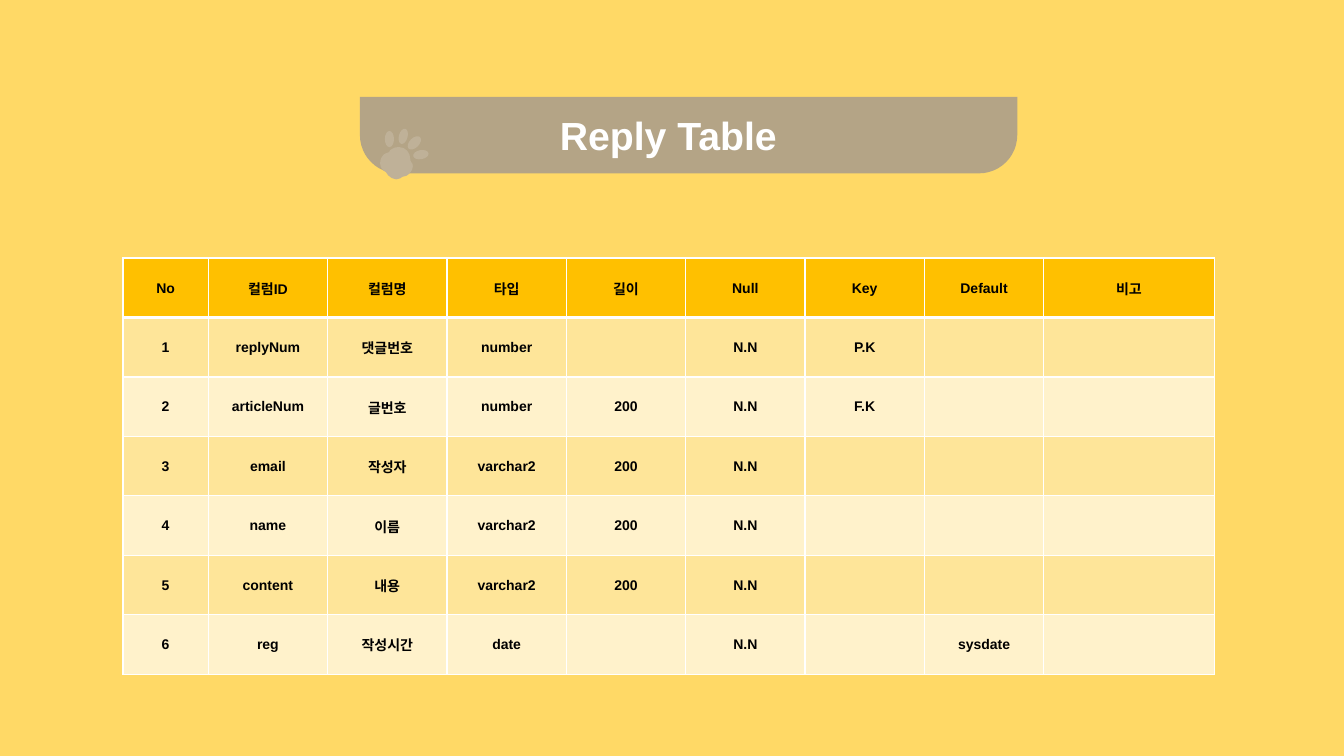
from dataclasses import dataclass
from math import cos, radians, sin

from lxml.etree import SubElement
from pptx import Presentation
from pptx.dml.color import RGBColor
from pptx.enum.shapes import MSO_SHAPE
from pptx.enum.text import MSO_ANCHOR, PP_ALIGN
from pptx.oxml.ns import qn
from pptx.util import Inches, Pt


@dataclass(frozen=True)
class Theme:
    font: str = "Arial"
    background: str = "FFD966"
    banner: str = "B4A486"
    paw: str = "BFB198"
    header: str = "FFC000"
    odd_row: str = "FEE599"
    even_row: str = "FFF2CB"
    light: str = "FFFFFF"
    dark: str = "000000"
    title_size: int = 28
    cell_size: int = 10
    thin_rule: int = 1
    thick_rule: int = 3


THEME = Theme()
WIDTH, HEIGHT = Inches(13.33), Inches(7.5)

# Column widths in grid units; the rows share the table height equally.
COLUMN_UNITS = [5] + [7] * 7 + [10]
ROWS = [
    ["No", "컬럼ID", "컬럼명", "타입", "길이", "Null", "Key", "Default", "비고"],
    ["1", "replyNum", "댓글번호", "number", "", "N.N", "P.K", "", ""],
    ["2", "articleNum", "글번호", "number", "200", "N.N", "F.K", "", ""],
    ["3", "email", "작성자", "varchar2", "200", "N.N", "", "", ""],
    ["4", "name", "이름", "varchar2", "200", "N.N", "", "", ""],
    ["5", "content", "내용", "varchar2", "200", "N.N", "", "", ""],
    ["6", "reg", "작성시간", "date", "", "N.N", "", "sysdate", ""],
]

# Paw geometry in thousandths of an inch from the paw's corner.
# Toes: centre x, centre y, radius x, radius y, tilt in degrees.
TOES = [(405, 265, 77, 45, -10), (340, 148, 80, 48, -45),
        (93, 110, 45, 80, 0), (230, 83, 43, 78, 15)]
# Pad: a start point, then cubic curves (three points) or lines (one point).
PAD = [
    [(190, 190)],
    [(250, 190), (300, 240), (300, 310)], [(300, 320)], [(310, 340)],
    [(320, 350), (325, 360), (325, 380)], [(325, 420), (290, 460), (260, 475)],
    [(220, 485)], [(200, 500)],
    [(190, 500), (170, 510), (160, 510)], [(130, 510), (100, 490), (80, 470)],
    [(60, 440)], [(30, 420)],
    [(10, 400), (0, 380), (0, 350)], [(0, 300), (30, 260), (60, 250)],
    [(90, 240)], [(100, 220)],
    [(120, 200), (150, 190), (190, 190)],
]


def share(left, top, width, height):
    """Turn percentages of the slide into left, top, width and height."""
    return [round(side * percent / 100) for side, percent in
            zip((WIDTH, HEIGHT, WIDTH, HEIGHT), (left, top, width, height))]


def paint(target, colour):
    target.fill.solid()
    target.fill.fore_color.rgb = RGBColor.from_string(colour)


def write(frame, text, *, size, colour, bold=True, align=PP_ALIGN.CENTER):
    paragraph = frame.paragraphs[0]
    paragraph.alignment = align
    run = paragraph.add_run()
    run.text = text
    run.font.name = THEME.font
    run.font.size = Pt(size)
    run.font.bold = bold
    run.font.color.rgb = RGBColor.from_string(colour)


def flatten(shape, colour):
    """Give the shape a plain fill, with no outline and no shadow."""
    paint(shape, colour)
    shape.line.fill.background()
    shape.shadow.inherit = False


def add_banner(slide):
    banner = slide.shapes.add_shape(MSO_SHAPE.ROUND_2_SAME_RECTANGLE,
                                    *share(26.78, 12.8, 48.91, 10.13))
    banner.rotation = 180
    banner.adjustments[0], banner.adjustments[1] = 0.5, 0
    flatten(banner, THEME.banner)
    return banner


def toe_outline(x, y, radius_x, radius_y, tilt):
    """Outline a tilted ellipse as four cubic quarter arcs."""
    turn, bend = radians(tilt), 0.55

    def tilted(across, down):
        across, down = across * radius_x, down * radius_y
        return (round(x + across * cos(turn) - down * sin(turn)),
                round(y + across * sin(turn) + down * cos(turn)))

    outline = [[tilted(1, 0)]]
    for a, b in ((1, 0), (0, 1), (-1, 0), (0, -1)):
        outline.append([tilted(a - bend * b, b + bend * a),
                        tilted(bend * a - b, bend * b + a), tilted(-b, a)])
    return outline


def bend_segments(shape, outlines):
    """Turn the straight segments that have control points into curves."""
    ends = [step[-1] for outline in outlines for step in outline]
    left, top = (min(axis) for axis in zip(*ends))
    steps = [step for outline in outlines for step in outline[1:]]
    for segment, step in zip(list(shape.element.iter(qn("a:lnTo"))), steps):
        if len(step) == 1:
            continue
        curve = segment.makeelement(qn("a:cubicBezTo"))
        for x, y in step:
            SubElement(curve, qn("a:pt"), x=str(x - left), y=str(y - top))
        segment.getparent().replace(segment, curve)


def add_paw(slide):
    outlines = [PAD] + [toe_outline(*toe) for toe in TOES]
    builder = slide.shapes.build_freeform(*PAD[0][0], scale=Inches(0.001))
    for outline in outlines:
        start, *ends = [step[-1] for step in outline]
        if outline is not PAD:
            builder.move_to(*start)
        builder.add_line_segments(ends)
    left, top, _, _ = share(28.28, 16.93, 0, 0)
    paw = builder.convert_to_shape(left, top)
    bend_segments(paw, outlines)
    flatten(paw, THEME.paw)


def format_title(title, text):
    title.left, title.top, title.width, title.height = share(40.73, 14.1, 18, 7.47)
    title.text_frame.word_wrap = False
    title.text_frame.vertical_anchor = MSO_ANCHOR.TOP
    write(title.text_frame, text, size=THEME.title_size, colour=THEME.light)


def rule_cell(cell, **widths):
    """Draw the cell's borders, given in points by side: L, R, T, B."""
    properties = cell._tc.get_or_add_tcPr()
    for side in "LRTB":
        width = Pt(widths.get(side, THEME.thin_rule))
        border = SubElement(properties, qn(f"a:ln{side}"), w=str(width))
        fill = SubElement(border, qn("a:solidFill"))
        SubElement(fill, qn("a:srgbClr"), val=THEME.light)


def row_style(row):
    """Return the fill of a row and its thicker borders."""
    if row == 0:
        return THEME.header, {"B": THEME.thick_rule}
    fill = THEME.odd_row if row % 2 else THEME.even_row
    return fill, {"T": THEME.thick_rule} if row == 1 else {}


def add_columns_table(slide):
    left, top, width, height = share(9.15, 34.13, 81.2, 55.07)
    table = slide.shapes.add_table(len(ROWS), len(COLUMN_UNITS),
                                   left, top, width, height).table
    table.horz_banding = False
    for column, units in zip(table.columns, COLUMN_UNITS):
        column.width = round(width * units / sum(COLUMN_UNITS))
    for row, texts in enumerate(ROWS):
        table.rows[row].height = round(height / len(ROWS))
        fill, borders = row_style(row)
        for column, text in enumerate(texts):
            cell = table.cell(row, column)
            rule_cell(cell, **borders)
            paint(cell, fill)
            cell.vertical_anchor = MSO_ANCHOR.MIDDLE
            cell.margin_left = cell.margin_right = cell.margin_top = Inches(0.01)
            cell.margin_bottom = 0
            if text:
                write(cell.text_frame, text, size=THEME.cell_size, colour=THEME.dark)


def main():
    deck = Presentation()
    deck.slide_width, deck.slide_height = WIDTH, HEIGHT
    slide = deck.slides.add_slide(deck.slide_layouts[5])
    paint(slide.background, THEME.background)
    title = slide.shapes.title
    format_title(title, "Reply Table")
    title.element.addprevious(add_banner(slide).element)
    add_paw(slide)
    add_columns_table(slide)
    deck.save("out.pptx")


if __name__ == "__main__":
    main()
